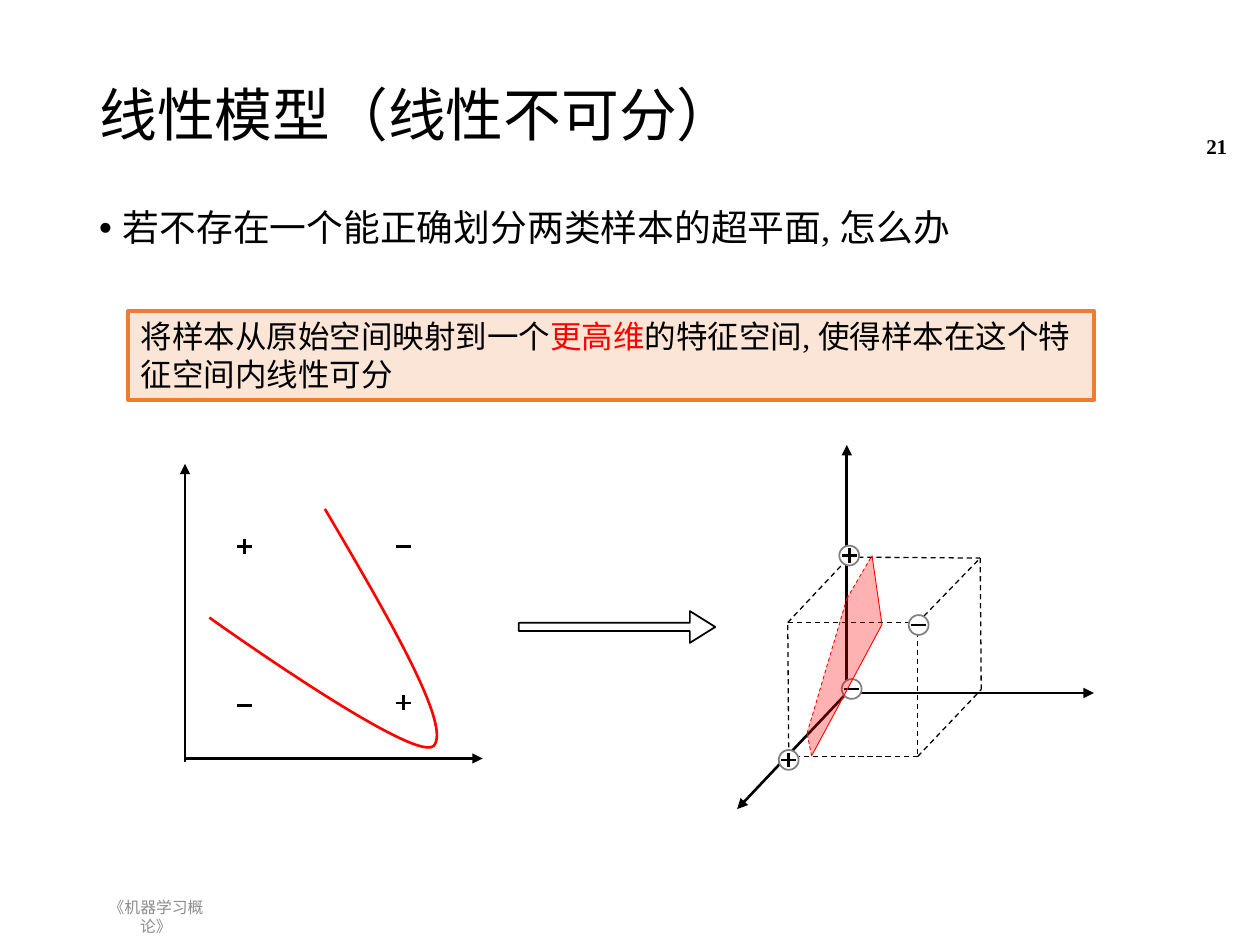
from itertools import pairwise

from lxml import etree
from pptx import Presentation
from pptx import util as u
from pptx.dml import color
from pptx.enum import dml, shapes, text
from pptx.oxml import ns, xmlchemy

FONT = "Times New Roman"
BLACK, RED = "000000", "FF0000"
HALF_MARK, RADIUS = 0.15, 0.2


def rgb(value):
    return color.RGBColor.from_string(value)


def cm(*values):
    return [u.Cm(v) for v in values]


def set_attrs(obj, **values):
    for name, value in values.items():
        setattr(obj, name, value)


def place(sp, box):
    set_attrs(sp, **dict(zip(("left", "top", "width", "height"), cm(*box))))


def write(sp, parts, size, bold=False, align=text.PP_ALIGN.LEFT,
          anchor=text.MSO_ANCHOR.TOP, spacing=1.0):
    tf = sp.text_frame
    set_attrs(tf, word_wrap=True, vertical_anchor=anchor)
    p = tf.paragraphs[0]
    set_attrs(p, alignment=align, line_spacing=spacing)
    for words, fill in parts:
        r = p.add_run()
        r.text = words
        set_attrs(r.font, name=FONT, size=u.Pt(size), bold=bold)
        r.font.color.rgb = rgb(fill)
    return p


def add_text(s, box, words, size, fill=BLACK, **fmt):
    return write(s.shapes.add_textbox(*cm(*box)), [(words, fill)], size, **fmt)


def add_bullet(p):
    pPr = p._p.get_or_add_pPr()
    set_attrs_xml = {"marL": str(u.Cm(0.48)), "indent": str(-u.Cm(0.48))}
    for name, value in set_attrs_xml.items():
        pPr.set(name, value)
    etree.SubElement(pPr, ns.qn("a:buFont"), typeface="Arial")
    etree.SubElement(pPr, ns.qn("a:buChar"), char="•")


def paint(sp, fill=None, line=None, width=1):
    sp.shadow.inherit = False
    if fill:
        sp.fill.solid()
        sp.fill.fore_color.rgb = rgb(fill)
    else:
        sp.fill.background()
    if line:
        sp.line.color.rgb = rgb(line)
        sp.line.width = u.Pt(width)
    else:
        sp.line.fill.background()


def add_line(parent, ends, fill=BLACK, width=1.5, dash=False, arrow=False):
    sp = parent.shapes.add_connector(shapes.MSO_CONNECTOR.STRAIGHT, *cm(*ends))
    sp.line.color.rgb = rgb(fill)
    sp.line.width = u.Pt(width)
    if dash:
        sp.line.dash_style = dml.MSO_LINE.DASH
    if arrow:
        etree.SubElement(sp.line._get_or_add_ln(), ns.qn("a:tailEnd"), type="triangle")
    etree.SubElement(sp._element.spPr, ns.qn("a:effectLst"))


def add_mark(parent, x, y, plus):
    add_line(parent, (x - HALF_MARK, y, x + HALF_MARK, y))
    if plus:
        add_line(parent, (x, y - HALF_MARK, x, y + HALF_MARK))


def add_sample(parent, x, y, plus):
    box = (x - RADIUS, y - RADIUS, 2 * RADIUS, 2 * RADIUS)
    sp = parent.shapes.add_shape(shapes.MSO_SHAPE.OVAL, *cm(*box))
    paint(sp, "FFFFFF", "808080")
    add_mark(parent, x, y, plus)


def add_outline(s, points, close):
    start, *rest = [cm(*point) for point in points]
    builder = s.shapes.build_freeform(*start, scale=1.0)
    builder.add_line_segments(rest, close=close)
    return builder.convert_to_shape()


def add_curve(s, points):
    sp = add_outline(s, points, False)
    path_el = sp._element.find(".//" + ns.qn("a:path"))
    lines = path_el.findall(ns.qn("a:lnTo"))
    for i in range(0, len(lines), 3):
        curve = etree.SubElement(path_el, ns.qn("a:cubicBezTo"))
        for line in lines[i:i + 3]:
            curve.append(line[0])
            path_el.remove(line)
    paint(sp, line=RED, width=1.5)


def add_plane(s, points):
    sp = add_outline(s, points, True)
    paint(sp, RED)
    clr = sp._element.spPr.find(".//" + ns.qn("a:srgbClr"))
    etree.SubElement(clr, ns.qn("a:alpha"), val="30000")


def draw_original_space(s):
    for ends in ((3.73, 15.37, 3.73, 9.35), (3.73, 15.29, 9.73, 15.29)):
        add_line(s, ends, arrow=True)
    marks = s.shapes.add_group_shape()
    for x, y, plus in ((8.13, 14.17, True), (4.93, 11.02, True),
                       (8.13, 11.02, False), (4.93, 14.22, False)):
        add_mark(marks, x, y, plus)
    add_curve(s, [(6.55, 10.26), (7.85, 12.47), (9.12, 14.66), (8.74, 15.04),
                  (8.33, 15.39), (4.22, 12.45), (4.22, 12.45)])


def draw_feature_space(s):
    cube = s.shapes.add_group_shape()
    for end in ((17.07, 8.97), (22.05, 13.97), (14.86, 16.31)):
        add_line(cube, (17.07, 13.97, *end), arrow=True)
    front = [(15.88, 12.55), (18.5, 12.55), (18.5, 15.25), (15.9, 15.25), (15.88, 12.55)]
    back = [(17.12, 11.23), (19.76, 11.25), (19.78, 13.9)]
    edges = [*pairwise(front), *pairwise(back), *zip(front, back)]
    for start, end in edges:
        add_line(cube, (*start, *end), width=0.75, dash=True)
    for x, y, plus in ((15.9, 15.32, True), (17.12, 11.2, True),
                       (18.52, 12.6, False), (17.17, 13.89, False)):
        add_sample(cube, x, y, plus)
    plane = [(17.58, 11.2), (17.78, 12.59), (16.36, 15.24), (16.27, 14.78), (17.07, 12.07)]
    for i, (start, end) in enumerate(pairwise([*plane, plane[0]])):
        add_line(s, (*start, *end), RED, 0.5, dash=i > 1)
    add_plane(s, plane)


def main():
    prs = Presentation()
    set_attrs(prs, slide_width=u.Cm(25.4), slide_height=u.Cm(19.05))
    s = prs.slides.add_slide(prs.slide_layouts[5])
    middle = text.MSO_ANCHOR.MIDDLE

    place(s.shapes.title, (1.75, 1.02, 21.9, 2.72))
    write(s.shapes.title, [("线性模型（线性不可分）", BLACK)], 33, anchor=middle, spacing=0.9)
    add_bullet(add_text(s, (1.75, 4.11, 21.9, 13.69),
                        "若不存在一个能正确划分两类样本的超平面, 怎么办", 21, spacing=0.9))
    add_text(s, (1.75, 18.11, 2.79, 0.74), "《机器学习概论》", 9, "8C8C8C",
             align=text.PP_ALIGN.CENTER, anchor=middle)
    add_text(s, (23.24, 2.44, 1.75, 1.02), "21", 12, bold=True,
             align=text.PP_ALIGN.RIGHT, anchor=middle)

    sp = s.shapes.add_shape(shapes.MSO_SHAPE.RECTANGLE, *cm(2.59, 6.27, 19.46, 1.8))
    paint(sp, "FBE5D6", "ED7D31", 2.25)
    write(sp, [("将样本从原始空间映射到一个", BLACK), ("更高维", RED),
               ("的特征空间, 使得样本在这个特征空间内线性可分", BLACK)], 18)

    draw_original_space(s)
    draw_feature_space(s)
    sp = s.shapes.add_shape(shapes.MSO_SHAPE.RIGHT_ARROW, *cm(10.46, 12.32, 3.96, 0.64))
    paint(sp, line=BLACK)
    sp.adjustments[0], sp.adjustments[1] = 0.26, 0.8

    prs.save("out.pptx")


if __name__ == "__main__":
    main()
